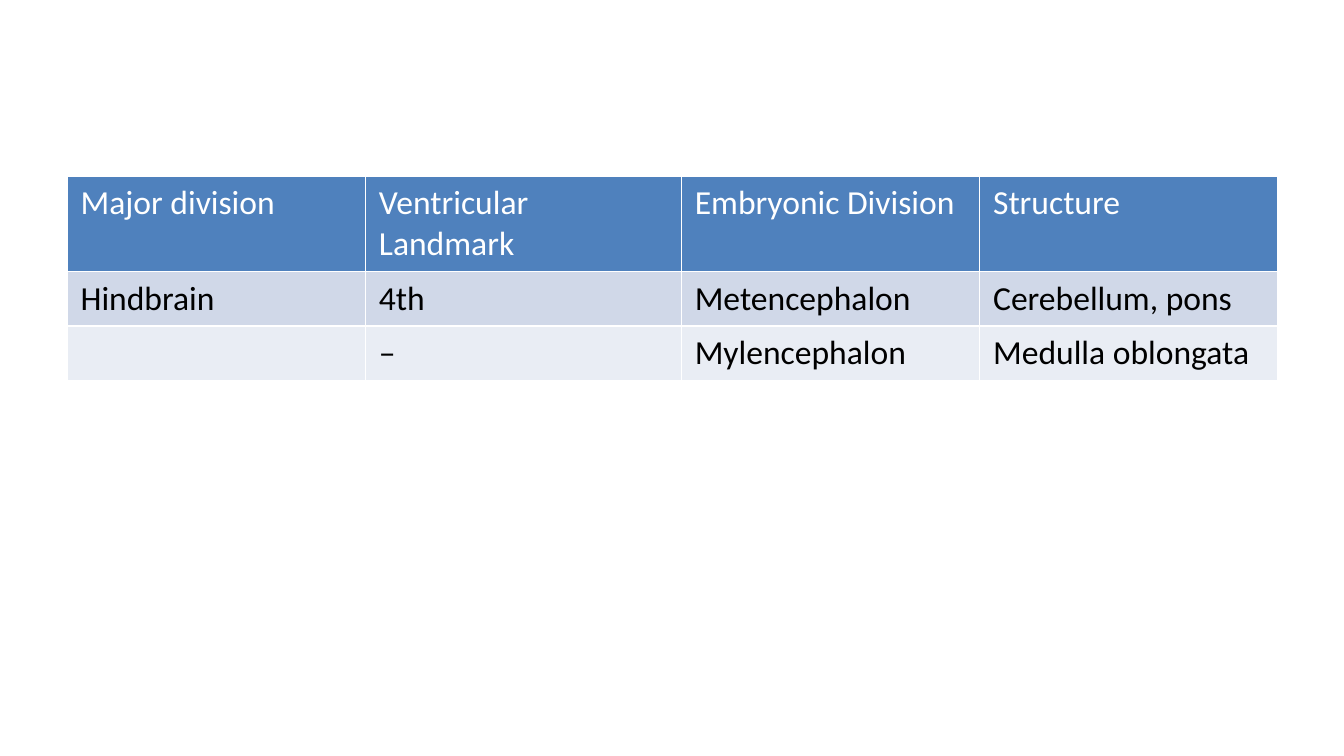
import pptx
import pptx.dml.color
import pptx.util
from pptx.util import Inches

COLORS = {
    "header": "4F81BD",
    "band_dark": "D0D8E8",
    "band_light": "E9EDF4",
    "header_text": "FFFFFF",
    "body_text": "000000",
}
ROWS = [
    ["Major division", "Ventricular Landmark", "Embryonic Division", "Structure"],
    ["Hindbrain", "4th", "Metencephalon", "Cerebellum, pons"],
    ["", "–", "Mylencephalon", "Medulla oblongata"],
]
ROW_FILLS = ["header", "band_dark", "band_light"]
COLUMN_WIDTHS = [2.22, 2.35, 2.22, 2.22]
ROW_HEIGHTS = [0.7, 0.4, 0.4]


def rgb(name):
    return pptx.dml.color.RGBColor.from_string(COLORS[name])


def fill_cell(cell, text, fill, text_color):
    cell.text = text
    cell.fill.solid()
    cell.fill.fore_color.rgb = rgb(fill)
    font = cell.text_frame.paragraphs[0].font
    font.name = "Calibri"
    font.size = pptx.util.Pt(18)
    font.bold = False
    font.color.rgb = rgb(text_color)


def add_division_table(slide):
    divisions = slide.shapes.add_table(
        len(ROWS), len(COLUMN_WIDTHS), Inches(0.5), Inches(1.31),
        Inches(sum(COLUMN_WIDTHS)), Inches(sum(ROW_HEIGHTS)),
    ).table
    for column, width in zip(divisions.columns, COLUMN_WIDTHS):
        column.width = Inches(width)
    for row, height, texts, fill in zip(divisions.rows, ROW_HEIGHTS, ROWS, ROW_FILLS):
        row.height = Inches(height)
        text_color = "header_text" if fill == "header" else "body_text"
        for cell, text in zip(row.cells, texts):
            fill_cell(cell, text, fill, text_color)


def main():
    presentation = pptx.Presentation()
    presentation.slide_width = Inches(10)
    presentation.slide_height = Inches(10) * 9 // 16
    slide = presentation.slides.add_slide(presentation.slide_layouts[6])
    add_division_table(slide)
    presentation.save("out.pptx")


if __name__ == "__main__":
    main()
